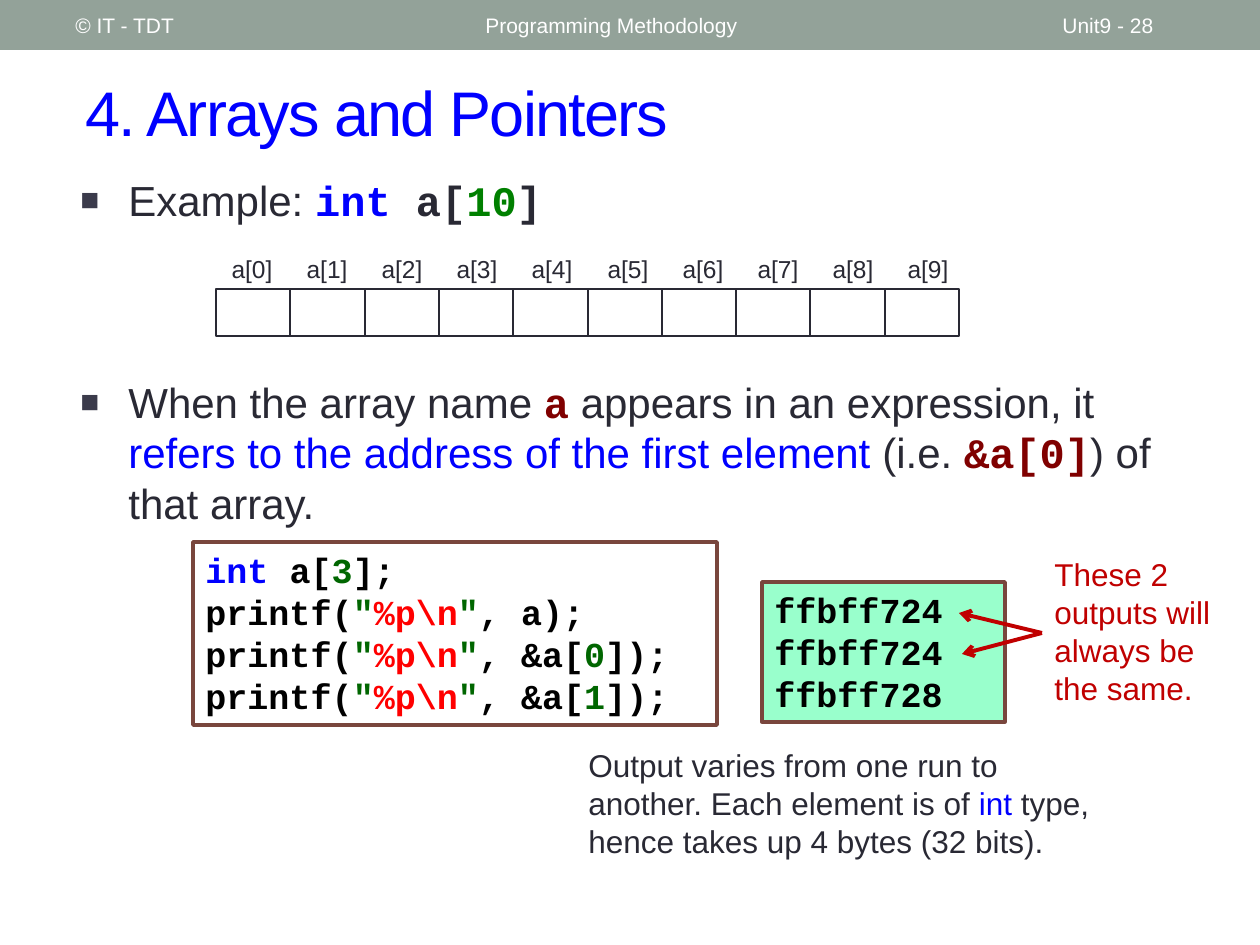
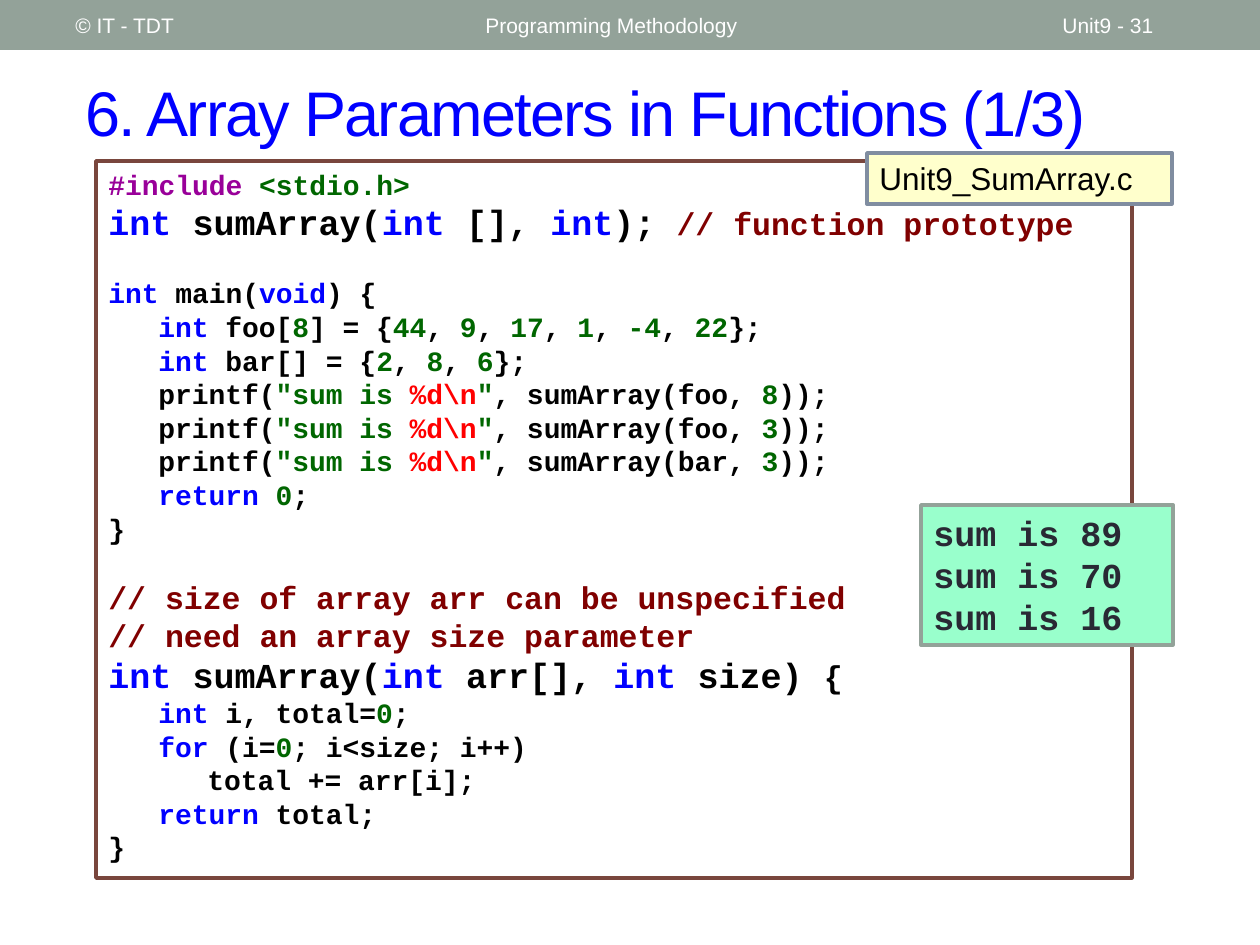
import pptx
import pptx.util
import pptx.dml.color
import pptx.enum.shapes
import pptx.enum.text
import pptx.oxml
import pptx.oxml.ns

RGB = pptx.dml.color.RGBColor
KIND = pptx.enum.shapes.MSO_SHAPE
LINE = pptx.enum.shapes.MSO_CONNECTOR
ALIGN = pptx.enum.text.PP_ALIGN
ANCHOR = pptx.enum.text.MSO_ANCHOR
Pt = pptx.util.Pt

SAGE = RGB(0x93, 0xA2, 0x99)
WHITE = RGB(0xFF, 0xFF, 0xFF)
BLACK = RGB(0, 0, 0)
BLUE = RGB(0, 0, 0xFF)
INK = RGB(0x29, 0x29, 0x34)
GREEN = RGB(0, 0x66, 0)
LEAF = RGB(0, 0x80, 0)
RED = RGB(0xFF, 0, 0)
CRIMSON = RGB(0xC0, 0, 0)
MAROON = RGB(0x80, 0, 0)
PURPLE = RGB(0x99, 0, 0x99)
BROWN = RGB(0x79, 0x46, 0x3D)
SLATE = RGB(0x80, 0x8D, 0xA0)
MINT = RGB(0x99, 0xFF, 0xCC)
CREAM = RGB(0xFF, 0xFF, 0xCC)

SANS = {"name": "Arial", "bold": False}
MONO = {"name": "Courier New", "bold": True}

# In marked text each run starts with "~" and one of these keys.
MARKS = {
    "k": (BLACK, {}),
    "i": (INK, {}),
    "b": (BLUE, {}),
    "g": (GREEN, {}),
    "r": (RED, {}),
    "p": (PURPLE, {}),
    "w": (WHITE, {}),
    "x": (CRIMSON, {}),
    "c": (MAROON, {"size": Pt(18)}),
    "e": (BLACK, {"size": Pt(18)}),
    "B": (BLUE, MONO),
    "I": (INK, MONO),
    "L": (LEAF, MONO),
    "M": (MAROON, MONO),
}


def px(num):
    return pptx.util.Emu(round(num * 914400 / 126))


def put(thing, values):
    for name, value in values.items():
        setattr(thing, name, value)


def add_xml(parent, body):
    space = pptx.oxml.ns.nsdecls("a")
    tag, rest = body.split(" ", 1) if " " in body else (body, "")
    parent.append(pptx.oxml.parse_xml(f"<a:{tag} {space} {rest}/>"))


def write(shape, lines, size, face, tabs=(), **frame):
    """Fill a shape with (marked text, size, space before) lines."""
    put(shape.text_frame, {"word_wrap": True, "vertical_anchor": ANCHOR.TOP, **frame})
    for i, line in enumerate(lines):
        text, own, gap = line if isinstance(line, tuple) else (line, size, 0)
        para = (shape.text_frame.add_paragraph() if i
                else shape.text_frame.paragraphs[0])
        para.alignment = ALIGN.LEFT
        if tabs:
            stops = pptx.oxml.parse_xml(
                f'<a:tabLst {pptx.oxml.ns.nsdecls("a")}>'
                + "".join(f'<a:tab pos="{px(t)}" algn="l"/>' for t in tabs)
                + "</a:tabLst>")
            para._p.get_or_add_pPr().append(stops)
        if gap:
            para.space_before = Pt(gap)
        for part in text.split("~")[1:]:
            color, extra = MARKS[part[0]]
            run = para.add_run()
            run.text = part[1:]
            put(run.font, {**face, "size": Pt(own), **extra})
            run.font.color.rgb = color
    return shape


def label(slide, box, lines, size, face=SANS, **frame):
    shape = slide.shapes.add_textbox(*map(px, box))
    return write(shape, lines, size, face, **frame)


def panel(slide, box, fill=None, edge=None, width=2.08):
    shape = slide.shapes.add_shape(KIND.RECTANGLE, *map(px, box))
    shape.shadow.inherit = False
    if fill is None:
        shape.fill.background()
    else:
        shape.fill.solid()
        shape.fill.fore_color.rgb = fill
    if edge is None:
        shape.line.fill.background()
    else:
        shape.line.color.rgb = edge
        shape.line.width = Pt(width)
    return shape


def base(deck, title, page):
    """Blank slide with the header band and the title."""
    slide = deck.slides.add_slide(deck.slide_layouts[6])
    panel(slide, (0, 0, 1260, 50), SAGE)
    mid = {"vertical_anchor": ANCHOR.MIDDLE}
    for left, wide, text in ((63, 399, "© IT - TDT"),
                             (473, 567, "Programming Methodology"),
                             (1050, 147, f"Unit9 - {page}")):
        label(slide, (left, 3, wide, 45), ["~w" + text], 12, **mid)
    head = label(slide, (73, 53, 1155, 116), ["~b" + title], 36, **mid)
    head.text_frame.paragraphs[0].runs[0].font._element.set("spc", "-100")
    return slide


def bullet(slide, box, text):
    para = label(slide, box, [text], 24).text_frame.paragraphs[0]
    props = para._p.get_or_add_pPr()
    props.set("marL", str(px(48)))
    props.set("indent", str(-px(48)))
    color = pptx.oxml.parse_xml(
        f'<a:buClr {pptx.oxml.ns.nsdecls("a")}><a:srgbClr val="3B3B4B"/></a:buClr>')
    props.append(color)
    for body in ('buSzPct val="75000"', 'buFont typeface="Arial"', 'buChar char="■"'):
        add_xml(props, body)


def cells(slide, box, count):
    """Row of array cells, each under its index."""
    left, top, wide, high = box
    for i in range(count):
        name = label(slide, (left + 2 + i * 752 // 10, top, 68, 43),
                     [f"~ia[{i}]"], 14, word_wrap=False)
        name.text_frame.paragraphs[0].alignment = ALIGN.CENTER
    edges = [left + round(i * wide / count) for i in range(count + 1)]
    for start, end in zip(edges, edges[1:]):
        panel(slide, (start, top + 41, end - start, high - 41), edge=INK, width=1)


def remark(slide, box):
    """Note with two arrows that point back at equal outputs."""
    left, top, wide, high = box
    for dx, dy in ((-83, 64), (-80, 105)):
        line = slide.shapes.add_connector(
            LINE.STRAIGHT, *map(px, (left, top + 84, left + dx, top + dy)))
        line.line.color.rgb = CRIMSON
        line.line.width = Pt(2.25)
        add_xml(line.line._get_or_add_ln(), 'tailEnd type="arrow"')
        add_xml(line._element.spPr, "effectLst")
    label(slide, box, ["~xThese 2 outputs will always be the same."], 18)


def arrays(deck):
    slide = base(deck, "4. Arrays and Pointers", 28)
    bullet(slide, (68, 168, 1120, 92), "~iExample: ~Bint ~Ia[~L10~I]")
    bullet(slide, (68, 370, 1120, 168),
           "~iWhen the array name ~Ma~i appears in an expression, it "
           "~brefers to the address of the first element ~i(i.e. ~M&a[0]~i) of that array.")
    cells(slide, (216, 248, 743, 88), 10)

    # Code and its output
    tabs = (48, 95, 142)
    code = ["~bint~k a[~g3~k];"]
    for arg in ("a", "&a[~g0~k]", "&a[~g1~k]"):
        code.append(f'~kprintf(~g"~r%p\\n~g"~k, {arg});')
    write(panel(slide, (193, 542, 524, 183), WHITE, BROWN), code, 20, MONO, tabs)
    out = ["~kffbff7" + end for end in ("24", "24", "28")]
    write(panel(slide, (762, 582, 243, 140), MINT, BROWN), out, 20, MONO, tabs)

    # Notes
    label(slide, (576, 740, 547, 127),
          ["~iOutput varies from one run to another. Each element is of ~bint "
           "~itype, hence takes up 4 bytes (32 bits)."], 18)
    remark(slide, (1042, 549, 183, 165))


def listing():
    """Lines of the sample program."""
    foo = "~k, ".join("~g" + n for n in "44 9 17 1 -4 22".split())
    bar = "~k, ".join("~g" + n for n in "2 8 6".split())
    calls = [f'~k\tprintf(~g"sum is ~r%d\\n~g"~k, sumArray({name}, ~g{size}~k));'
             for name, size in (("foo", 8), ("foo", 3), ("bar", 3))]
    return [
        "~p#include ~g<stdio.h>",
        ("~bint ~ksumArray(~bint~k [], ~bint~k); ~c// function prototype", 20, 0),
        ("~bint ~kmain(~bvoid~k) {", 16, 19),
        f"~b\tint ~kfoo[~g8~k] = {{{foo}~k}};",
        f"~b\tint~k bar[] = {{{bar}~k}};",
        *calls,
        "~b\treturn ~g0~k;",
        "~k}",
        ("~c// size of array arr can be unspecified", 18, 19),
        "~c// need an array size parameter",
        ("~bint ~ksumArray(~bint ~karr[], ~bint~k size) ~e{", 20, 0),
        "~b\tint ~ki, total=~g0~k;",
        "~b\tfor~k (i=~g0~k; i<size; i++)",
        "~k\t\ttotal += arr[i];",
        "~b\treturn~k total;",
        "~k}",
    ]


def params(deck):
    slide = base(deck, "6. Array Parameters in Functions (1/3)", 31)
    # Program, file name, output
    write(panel(slide, (96, 161, 1036, 717), WHITE, BROWN),
          listing(), 16, MONO, (50, 99, 149))
    write(panel(slide, (867, 153, 305, 51), CREAM, SLATE),
          ["~kUnit9_SumArray.c"], 18, SANS)
    write(panel(slide, (921, 505, 252, 140), MINT, SAGE),
          [f"~isum is {total}" for total in (89, 70, 16)], 20, MONO)


def main():
    deck = pptx.Presentation()
    put(deck, {"slide_width": px(1260), "slide_height": px(945)})
    arrays(deck)
    params(deck)
    deck.save("out.pptx")


if __name__ == "__main__":
    main()
